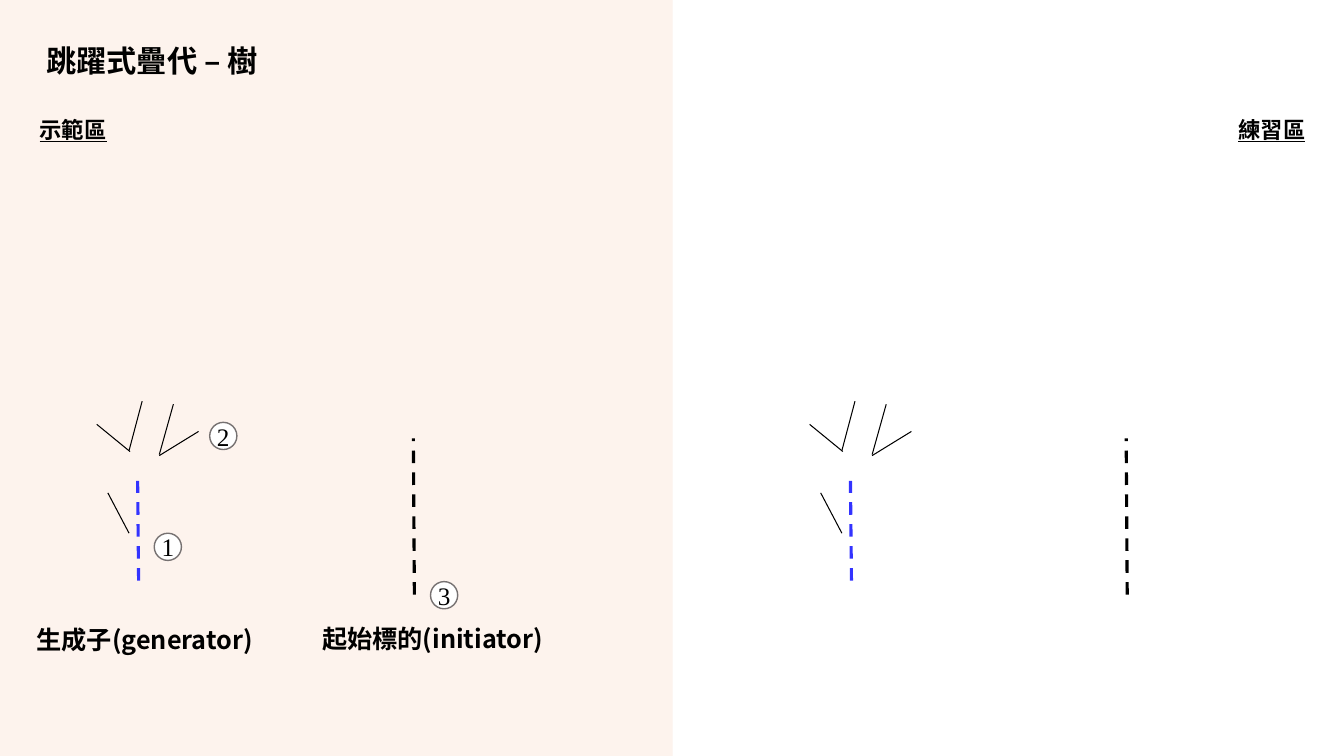
"""Build the tree iteration slide with a demo half and a practice half."""
from lxml import etree
from pptx import Presentation
from pptx.dml.color import RGBColor
from pptx.enum.dml import MSO_LINE as Dash
from pptx.enum.shapes import MSO_CONNECTOR as Link, MSO_SHAPE as Kind
from pptx.enum.text import MSO_ANCHOR as Anchor, PP_ALIGN as Align
from pptx.oxml.ns import qn
from pptx.util import Inches, Pt

SANS = "Noto Sans CJK SC"


def paint(fill, color, alpha=None):
    fill.solid()
    fill.fore_color.rgb = RGBColor.from_string(color)
    if alpha:
        tint = fill._xPr.find(".//" + qn("a:srgbClr"))
        etree.SubElement(tint, qn("a:alpha")).set("val", str(alpha * 1000))


def write(shape, text, size, font=SANS, bold=True, under=None,
          align=Align.CENTER, anchor=Anchor.MIDDLE, pad=0.1, wrap=False, space=None):
    frame = shape.text_frame
    frame.word_wrap = wrap
    frame.vertical_anchor = anchor
    frame.margin_left = frame.margin_right = Inches(pad)
    frame.margin_top = frame.margin_bottom = Inches(pad / 2)
    para = frame.paragraphs[0]
    para.alignment = align
    para.line_spacing = space
    run = para.add_run()
    run.text = text
    run.font.size = Pt(size)
    run.font.name = font
    run.font.bold = bold
    run.font.underline = under
    paint(run.font.fill, "000000")
    etree.SubElement(run.font._element, qn("a:ea")).set("typeface", font)


deck = Presentation()
deck.slide_width, deck.slide_height = Inches(13.33), Inches(7.5)
slide = deck.slides.add_slide(deck.slide_layouts[6])
shapes = slide.shapes
paint(slide.background.fill, "FFFFFF")

half = shapes.add_shape(Kind.RECTANGLE, 0, 0, Inches(6.67), Inches(7.5))
half.shadow.inherit = False
paint(half.fill, "F4B183", 14)
half.line.fill.background()

twigs = [
    (1.28, 5.29, 1.07, 4.89),
    (1.29, 4.48, 0.96, 4.21),
    (1.28, 4.47, 1.41, 3.98),
    (1.58, 4.51, 1.72, 4.01),
    (1.58, 4.52, 1.97, 4.28),
]
lines = [(6.67, 7.5, 6.67, 0, "FBE5D6", 0.25, None, 50)]
for shift in (0, 7.07):
    for x1, y1, x2, y2 in twigs:
        lines.append((x1 + shift, y1, x2 + shift, y2, "000000", 0.75, None, None))
    lines.append((1.375 + shift, 5.76, 1.365 + shift, 4.77, "3333FF", 2.25, Dash.DASH, None))
    lines.append((4.11 + shift, 5.9, 4.1 + shift, 4.35, "000000", 2.25, Dash.DASH, None))

for x1, y1, x2, y2, color, width, dash, alpha in lines:
    line = shapes.add_connector(Link.STRAIGHT, Inches(x1), Inches(y1), Inches(x2), Inches(y2))
    paint(line.line.fill, color, alpha)
    line.line.width = Pt(width)
    if dash:
        line.line.dash_style = dash
    etree.SubElement(line._element.spPr, qn("a:effectLst"))

labels = [
    ("示範區", 0.29, 1.1, 0.87, 0.37, 16, dict(under=True, anchor=Anchor.TOP)),
    ("練習區", 12.18, 1.1, 0.87, 0.37, 16, dict(under=True, anchor=Anchor.TOP)),
    ("跳躍式疊代 – 樹", 0.36, 0.4, 5.95, 0.44, 21.6,
     dict(align=Align.LEFT, wrap=True, space=0.9)),
    ("生成子(generator)", 0.21, 6.09, 2.45, 0.51, 18, {}),
    ("起始標的(initiator)", 3.06, 6.07, 2.46, 0.53, 18, {}),
]
for text, x, y, w, h, size, style in labels:
    box = shapes.add_textbox(Inches(x), Inches(y), Inches(w), Inches(h))
    write(box, text, size, **style)

for step, (x, y) in enumerate([(1.53, 5.29), (2.08, 4.19), (4.27, 5.77)], 1):
    disc = shapes.add_shape(Kind.OVAL, Inches(x), Inches(y), Inches(0.27), Inches(0.27))
    disc.shadow.inherit = False
    paint(disc.fill, "FFFFFF")
    paint(disc.line.fill, "767171")
    disc.line.width = Pt(1)
    write(disc, str(step), 18, font="Times New Roman", bold=False, pad=0)

deck.save("out.pptx")
